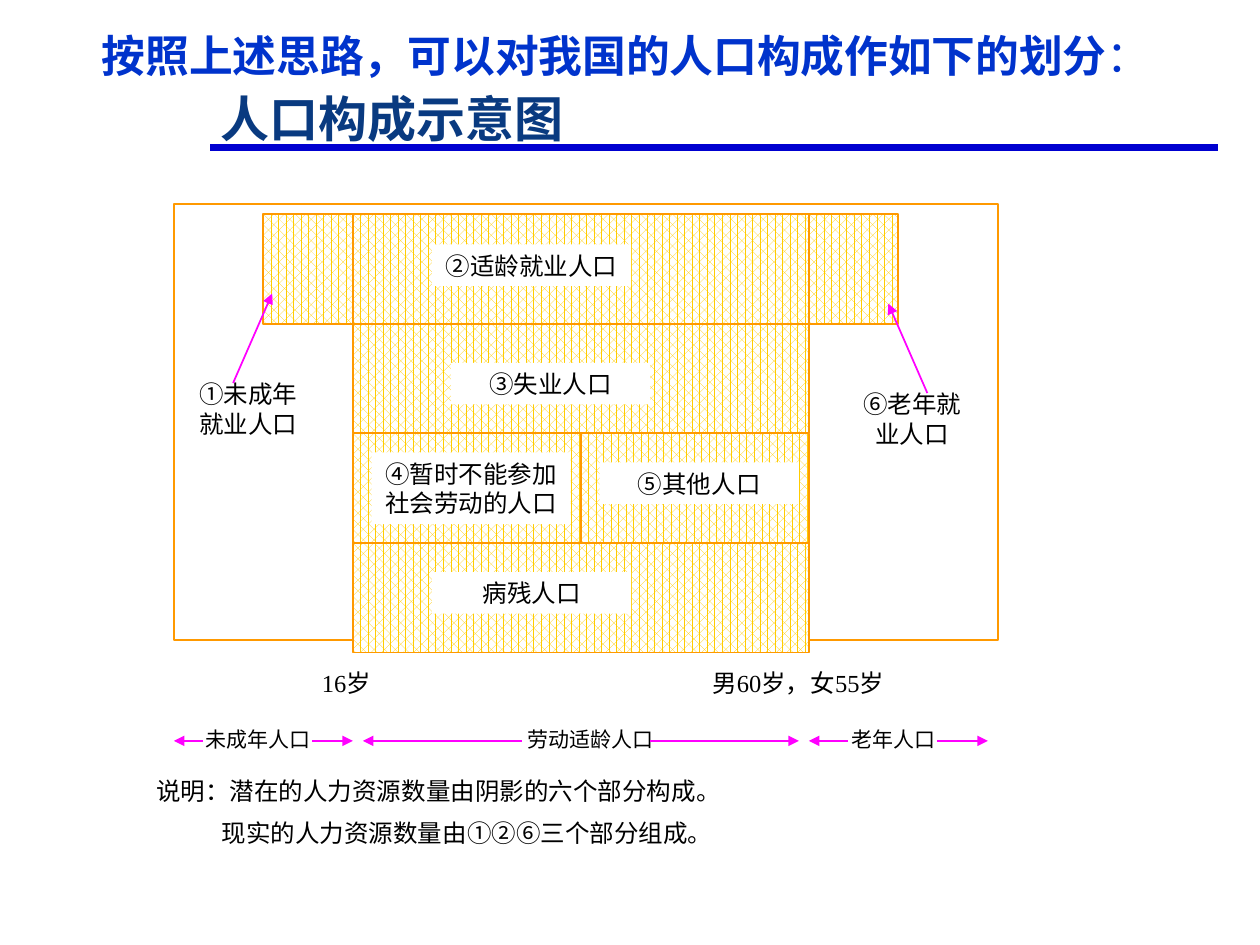
"""Build the population structure slide."""
from dataclasses import dataclass

from lxml import etree
from pptx import Presentation
from pptx import util as u
from pptx.dml.color import RGBColor
from pptx.enum import dml, shapes, text
from pptx.oxml import ns


@dataclass(frozen=True)
class Theme:
    """Colours, fonts and type sizes."""
    rule: str = "0000D0"
    title: str = "093A80"
    lead: str = "0033CC"
    edge: str = "FF9900"
    shade: str = "FFCC00"
    arrow: str = "FF00FF"
    ink: str = "000000"
    paper: str = "FFFFFF"
    head: str = "Noto Sans CJK SC"
    body: str = "Times New Roman"
    big: int = 28
    mid: int = 25
    base: int = 14
    small: int = 12


class Deck:
    """Holds the theme and the current slide."""

    def __init__(self, theme):
        """Start a one-slide deck."""
        self.theme = theme
        self.prs = Presentation()
        self.prs.slide_width = u.Inches(10)
        self.prs.slide_height = u.Inches(7.5)
        self.slide = self.prs.slides.add_slide(self.prs.slide_layouts[5])

    def font(self, para, size, color, name):
        """Format a whole paragraph."""
        para.font.size = u.Pt(size)
        para.font.name = name
        para.font.color.rgb = RGBColor.from_string(color)
        if name == self.theme.head:
            para.font.bold = True
            props = para.font.fill._xPr
            etree.SubElement(props, ns.qn("a:ea")).set("typeface", name)

    def title(self, words, *box):
        """Place and format the title."""
        item = self.slide.shapes.title
        item.left, item.top, item.width, item.height = map(u.Inches, box)
        frame = item.text_frame
        frame.text = words
        frame.vertical_anchor = text.MSO_ANCHOR.BOTTOM
        frame.margin_left = frame.margin_right = 0
        frame.margin_top = frame.margin_bottom = 0
        para = frame.paragraphs[0]
        para.alignment = text.PP_ALIGN.LEFT
        para.line_spacing = 0.8
        self.font(para, self.theme.big, self.theme.title, self.theme.head)

    def text(self, words, *box, size=None, fill=False):
        """Add centred text, on white if filled."""
        item = self.slide.shapes.add_textbox(*map(u.Inches, box))
        if fill:
            item.fill.solid()
            item.fill.fore_color.rgb = RGBColor.from_string(self.theme.paper)
        frame = item.text_frame
        frame.word_wrap = True
        frame.text = words
        for para in frame.paragraphs:
            para.alignment = text.PP_ALIGN.CENTER
            self.font(para, size or self.theme.base, self.theme.ink, self.theme.body)
        return frame

    def lead(self, words, end, *box):
        """Add the bold lead line with a light ending."""
        item = self.slide.shapes.add_textbox(*map(u.Inches, box))
        item.text_frame.word_wrap = True
        para = item.text_frame.paragraphs[0]
        para.line_spacing = 0.95
        self.font(para, self.theme.mid, self.theme.lead, self.theme.head)
        para.add_run().text = words
        last = para.add_run()
        last.text = end
        last.font.bold = False

    def notes(self, lines, indent, *box):
        """Add left-aligned lines, indented after the first."""
        frame = self.text("\n".join(lines), *box)
        for para in frame.paragraphs:
            para.alignment = text.PP_ALIGN.LEFT
        for para in frame.paragraphs[1:]:
            para.space_before = u.Pt(self.theme.base / 2)
            props = para._p.get_or_add_pPr()
            props.set("marL", str(u.Inches(indent)))
            props.set("indent", "0")

    def rect(self, *box, shade=True):
        """Add an outlined block, shaded or open."""
        item = self.slide.shapes.add_shape(
            shapes.MSO_SHAPE.RECTANGLE, *map(u.Inches, box))
        item.shadow.inherit = False
        item.line.color.rgb = RGBColor.from_string(self.theme.edge)
        item.line.width = u.Pt(1)
        if shade:
            item.fill.patterned()
            item.fill.pattern = dml.MSO_PATTERN.PERCENT_60
            item.fill.fore_color.rgb = RGBColor.from_string(self.theme.shade)
            item.fill.back_color.rgb = RGBColor.from_string(self.theme.paper)
        else:
            item.fill.background()

    def line(self, *ends, color=None, width=1, tip=True):
        """Add a line, with an arrowhead at its end."""
        item = self.slide.shapes.add_connector(
            shapes.MSO_CONNECTOR.STRAIGHT, *map(u.Inches, ends))
        item.line.color.rgb = RGBColor.from_string(color or self.theme.arrow)
        item.line.width = u.Pt(width)
        if tip:
            tail = etree.SubElement(item.line._get_or_add_ln(), ns.qn("a:tailEnd"))
            tail.set("type", "triangle")
        etree.SubElement(item._element.spPr, ns.qn("a:effectLst"))


def main():
    """Draw the slide and save it."""
    theme = Theme()
    deck = Deck(theme)
    deck.line(1.67, 1.17, 9.67, 1.17, color=theme.rule, width=4, tip=False)
    deck.title("人口构成示意图", 1.75, 0.42, 7.91, 0.75)
    deck.lead("按照上述思路，可以对我国的人口构成作如下的划分", "：",
              0.71, 0.21, 9.01, 1.18)

    left, top, wide, high, wing = 2.8, 1.7, 3.62, 0.87, 0.71
    half, right = wide / 2, left + wide
    deck.rect(1.38, 1.62, 6.54, 3.46, shade=False)
    for x, row, w in [(left, 0, wide), (left, 1, wide), (left, 2, half),
                      (left, 3, wide), (left + half, 2, half),
                      (right, 0, wing), (left - wing, 0, wing)]:
        deck.rect(x, top + row * high, w, high)

    for words, x, y, w, h in [
            ("②适龄就业人口", 3.43, 1.94, 1.58, 0.33),
            ("③失业人口", 3.58, 2.88, 1.58, 0.33),
            ("⑤其他人口", 4.76, 3.67, 1.58, 0.33),
            ("④暂时不能参加社会劳动的人口", 2.95, 3.59, 1.58, 0.57),
            ("病残人口", 3.43, 4.54, 1.58, 0.33),
            ("①未成年就业人口", 1.46, 2.96, 1.02, 0.63),
            ("⑥老年就业人口", 6.73, 3.04, 1.02, 0.63)]:
        deck.text(words, x, y, w, h, fill=True)
    deck.line(1.85, 3.04, 2.16, 2.33)
    deck.line(7.36, 3.12, 7.05, 2.41)

    axis = 5.88
    for words, x, w, spans in [
            ("未成年人口", 1.46, 1.18, [(1.61, 1.38), (2.48, 2.8)]),
            ("劳动适龄人口", 3.98, 1.42, [(4.14, 2.88), (5.16, 6.34)]),
            ("老年人口", 6.5, 1.18, [(6.73, 6.42), (7.44, 7.84)])]:
        deck.text(words, x, axis - 0.16, w, 0.3, size=theme.small)
        for start, end in spans:
            deck.line(start, axis, end, axis)

    deck.text("16岁", 2.24, 5.25, 1.02, 0.33)
    deck.text("男60岁，女55岁", 5.47, 5.25, 1.73, 0.33)
    deck.notes(["说明：潜在的人力资源数量由阴影的六个部分构成。",
                "现实的人力资源数量由①②⑥三个部分组成。"],
               0.52, 1.14, 6.11, 6.85, 0.68)
    deck.prs.save("out.pptx")


if __name__ == "__main__":
    main()
